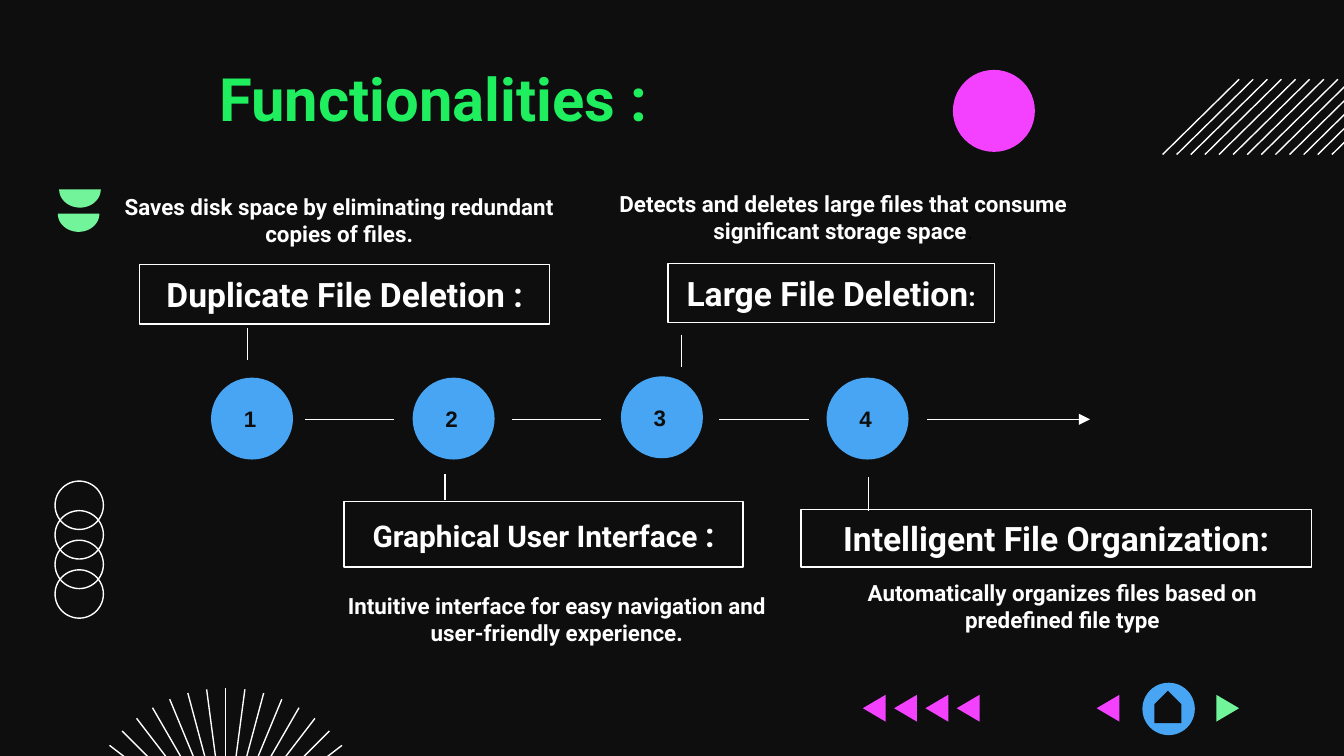
from math import cos, pi, radians, sin

from lxml import etree
from pptx import Presentation
from pptx.dml.color import RGBColor
from pptx.enum.shapes import MSO_CONNECTOR, MSO_SHAPE as Preset
from pptx.enum.text import MSO_ANCHOR as Anchor, MSO_AUTO_SIZE, PP_ALIGN as Align
from pptx.oxml.ns import qn
from pptx.util import Inches, Pt

# Content
TITLE = "Functionalities :"
# Each step: number, circle (left, top), heading runs (text, size), heading box,
# stem (x, top, bottom), description, description box
STEPS = [
    ("1", (1.57, 2.81), [("Duplicate File Deletion :", 18)], (1.04, 1.97, 3.05, 0.44),
     (1.84, 2.44, 2.68), "Saves disk space by eliminating redundant copies of files.",
     (0.76, 1.33, 3.53, 0.61)),
    ("2", (3.07, 2.81), [("Graphical User Interface ", 16), (":", 18)], (2.56, 3.73, 2.97, 0.49),
     (3.31, 3.53, 3.72), "Intuitive interface for easy navigation and user-friendly experience.",
     (2.38, 4.3, 3.53, 0.61)),
    ("3", (4.62, 2.8), [("Large File Deletion", 18), (":", 14)], (4.97, 1.96, 2.43, 0.44),
     (5.07, 2.49, 2.73),
     "Detects and deletes large files that consume significant storage space.",
     (4.47, 1.31, 3.61, 0.61)),
    ("4", (6.15, 2.81), [("Intelligent File Organization:", 18)], (5.96, 3.79, 3.8, 0.43),
     (6.46, 3.55, 3.8), "Automatically organizes files based on predefined file type",
     (6.2, 4.19, 3.41, 0.64)),
]
BLACK_PERIOD_STEP = "3"
TIMELINE_Y = 3.12
TIMELINE = [(2.27, 2.93), (3.81, 4.47), (5.35, 6.02), (6.9, 8.11)]
CIRCLE = 0.61
COLORS = {"background": "0E0E0E", "black": "000000", "white": "FFFFFF", "title": "1FEE5F",
          "green": "72F49A", "pink": "F341FF", "blue": "47A5F3"}

presentation = Presentation()
presentation.slide_width = Inches(10)
presentation.slide_height = presentation.slide_width * 9 // 16
slide = presentation.slides.add_slide(presentation.slide_layouts[5])
slide.background.fill.solid()
slide.background.fill.fore_color.rgb = RGBColor.from_string(COLORS["background"])


def paint(shape, fill=None, line=None):
    shape.shadow.inherit = False
    if fill:
        shape.fill.solid()
        shape.fill.fore_color.rgb = RGBColor.from_string(COLORS[fill])
    else:
        shape.fill.background()
    if line:
        shape.line.color.rgb = RGBColor.from_string(COLORS[line])
        shape.line.width = Pt(0.75)
    else:
        shape.line.fill.background()
    return shape


def add_preset(kind, box, fill=None, line=None):
    return paint(slide.shapes.add_shape(kind, *map(Inches, box)), fill, line)


def add_outline(points, fill):
    points = [(Inches(x), Inches(y)) for x, y in points]
    builder = slide.shapes.build_freeform(*points[0])
    builder.add_line_segments(points[1:], close=True)
    return paint(builder.convert_to_shape(), fill)


def add_line(x1, y1, x2, y2, arrow=False):
    line = slide.shapes.add_connector(MSO_CONNECTOR.STRAIGHT, *map(Inches, (x1, y1, x2, y2)))
    line.line.color.rgb = RGBColor.from_string(COLORS["white"])
    line.line.width = Pt(0.75)
    if arrow:
        etree.SubElement(line.line._get_or_add_ln(), qn("a:tailEnd"), type="triangle")
    etree.SubElement(line._element.spPr, qn("a:effectLst"))


def add_run(paragraph, text, size, color, font="Roboto", bold=True):
    run = paragraph.add_run()
    run.text = text
    run.font.name, run.font.size, run.font.bold = font, Pt(size), bold
    run.font.color.rgb = RGBColor.from_string(COLORS[color])


def write(shape, runs, color, font="Roboto", align=Align.CENTER, anchor=Anchor.MIDDLE,
          margins=(0.1, 0.1, 0.1, 0.1)):
    frame = shape.text_frame
    frame.word_wrap, frame.auto_size = True, MSO_AUTO_SIZE.NONE
    frame.vertical_anchor = anchor
    (frame.margin_left, frame.margin_top,
     frame.margin_right, frame.margin_bottom) = map(Inches, margins)
    paragraph = frame.paragraphs[0]
    paragraph.alignment = align
    for text, size in runs:
        add_run(paragraph, text, size, color, font)
    return paragraph


def add_triangle(left, fill, points_left=True):
    base, tip = (left + 0.17, left) if points_left else (left, left + 0.17)
    add_outline([(base, 5.17), (tip, 5.27), (base, 5.37)], fill)


# Half discs
for left, top in [(0.43, 1.59), (0.44, 1.41)]:
    arc = [(left + 0.155 * (1 + cos(pi * i / 24)), top + 0.135 * sin(pi * i / 24))
           for i in range(25)]
    add_outline(arc, "green")

# Chain of rings
for i in range(4):
    add_preset(Preset.OVAL, (0.41, 4.24 - 0.22 * i, 0.36, 0.36), line="white")

# Sunburst: rays every 7.5 degrees around a point below the slide
for i in range(-7, 8):
    angle = radians(7.5 * i)
    dx, dy = sin(angle), cos(angle)
    add_line(1.68 + 1.09 * dx, 6.21 - 1.09 * dy, 1.68 + 0.3 * dx, 6.21 - 0.3 * dy)

# Diagonal hatching
for i in range(13):
    x = 8.65 + 0.105 * i
    add_line(x, 1.15, x + 0.57, 0.59)

# Title and pink disc
title = slide.shapes.title
title.left, title.top, title.width, title.height = map(Inches, (1.53, 0.46, 8.44, 0.57))
write(title, [(TITLE, 32)], "title", align=Align.LEFT, anchor=Anchor.TOP,
      margins=(0.1, 0, 0.1, 0.1))
add_preset(Preset.OVAL, (7.09, 0.52, CIRCLE, CIRCLE), "pink")

# Timeline, with an arrow on the last segment
for start, end in TIMELINE:
    add_line(start, TIMELINE_Y, end, TIMELINE_Y, arrow=end == TIMELINE[-1][1])

# Steps
for number, corner, heading, heading_box, (x, top, bottom), description, text_box in STEPS:
    add_line(x, top, x, bottom)
    write(add_preset(Preset.RECTANGLE, heading_box, line="white"), heading, "white")
    circle = add_preset(Preset.OVAL, (*corner, CIRCLE, CIRCLE), "blue")
    write(circle, [(number, 12)], "background", font="Arial", margins=(0, 0, 0.03, 0))
    black_period = number == BLACK_PERIOD_STEP
    white_text = description.removesuffix(".") if black_period else description
    label = slide.shapes.add_textbox(*map(Inches, text_box))
    paragraph = write(label, [(white_text, 12)], "white")
    if black_period:
        add_run(paragraph, ".", 12, "black", font="Arial", bold=False)

# Row of triangles and navigation buttons
for i in range(4):
    add_triangle(6.42 + 0.233 * i, "pink")
add_triangle(8.16, "pink")
add_triangle(9.05, "green", points_left=False)
add_preset(Preset.OVAL, (8.5, 5.08, 0.39, 0.39), "blue")
house = add_preset(Preset.PENTAGON, (8.57, 5.16, 0.24, 0.2), "background")
house.rotation = 270

presentation.save("out.pptx")
